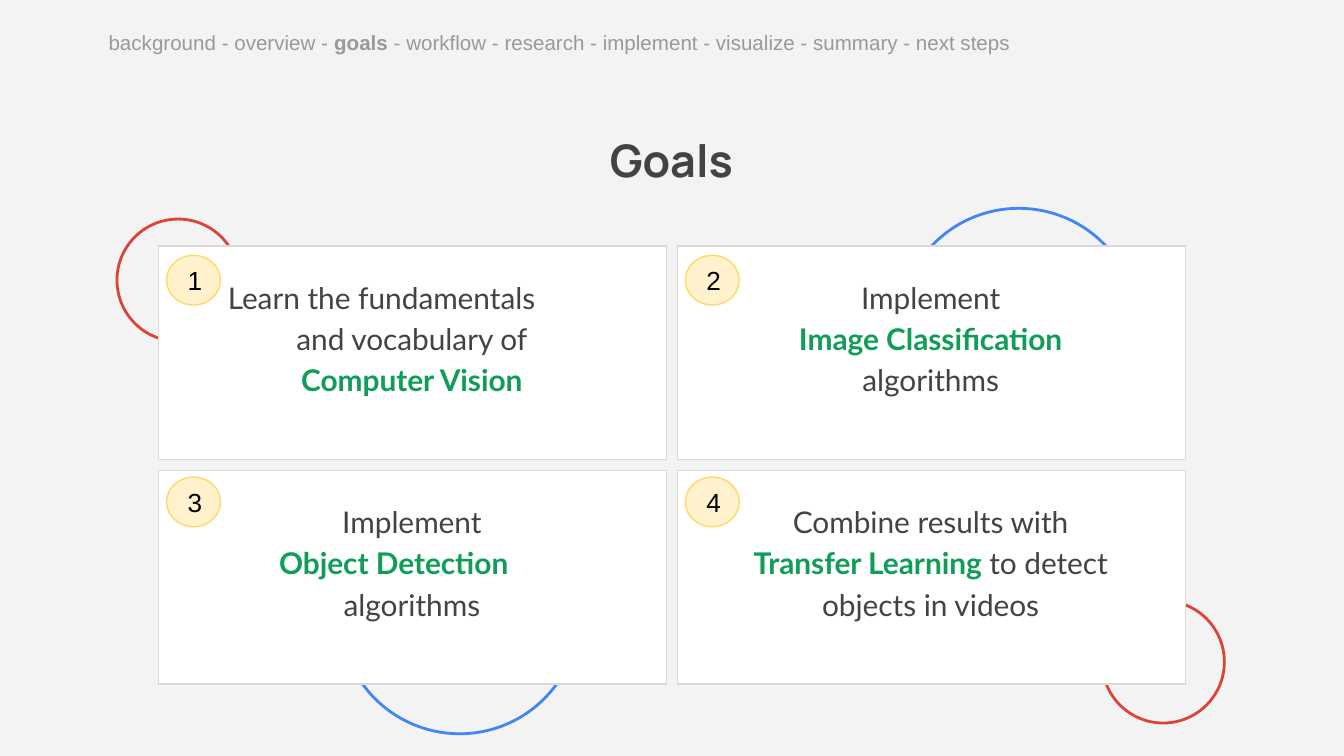
from pptx import Presentation
from pptx.dml.color import RGBColor
from pptx.enum.shapes import MSO_SHAPE
from pptx.enum.text import MSO_ANCHOR, PP_ALIGN
from pptx.util import Inches, Pt

OVAL, RECTANGLE = MSO_SHAPE.OVAL, MSO_SHAPE.RECTANGLE
BADGE = MSO_SHAPE.FLOWCHART_CONNECTOR
LEFT, CENTER = PP_ALIGN.LEFT, PP_ALIGN.CENTER
TOP, MIDDLE, BOTTOM = MSO_ANCHOR.TOP, MSO_ANCHOR.MIDDLE, MSO_ANCHOR.BOTTOM

GREEN, GREY, BLUE, RED = "0F9D58", "434343", "4285F4", "DB4437"
SLIDE_WIDTH = 10
SLIDE_HEIGHT = SLIDE_WIDTH * 9 / 16
CARD_WIDTH, CARD_HEIGHT, GAP = 3.78, 1.59, 0.08
GRID_LEFT, GRID_TOP, COLUMNS = 1.18, 1.83, 2
BADGE_DROPS = (0.07, 0.05)

TITLE = "Goals"
STEPS = ["background", "overview", "goals", "workflow", "research",
         "implement", "visualize", "summary", "next steps"]
CURRENT_STEP = "goals"

GOALS = [
    [("", "Learn the fundamentals", 0.45), ("", "and vocabulary of", 0),
     ("Computer Vision", "", 0)],
    [("", "Implement", 0), ("Image Classification ", "algorithms", 0)],
    [("", "Implement", 0), ("Object Detection", "", 0.27), ("", "algorithms", 0)],
    [("", "Combine results with", 0),
     ("Transfer Learning ", "to detect objects in videos", 0)],
]

CIRCLES = [(2.53, 3.68, 1.78, BLUE), (6.69, 1.55, 1.78, BLUE),
           (8.2, 4.47, 0.91, RED), (0.87, 1.63, 0.91, RED)]


def color(value):
    return RGBColor.from_string(value)


def place(shape, left, top, width, height):
    shape.left, shape.top = Inches(left), Inches(top)
    shape.width, shape.height = Inches(width), Inches(height)


def add_outline(page, kind, area, line, weight, fill=None):
    shape = page.shapes.add_shape(kind, *map(Inches, area))
    shape.shadow.inherit = False
    if fill:
        shape.fill.solid()
        shape.fill.fore_color.rgb = color(fill)
    else:
        shape.fill.background()
    shape.line.color.rgb = color(line)
    shape.line.width = Pt(weight)
    return shape


def write(box, lines, size, font, align=CENTER, anchor=TOP, spacing=None, before=None):
    frame = box.text_frame
    frame.word_wrap = True
    frame.vertical_anchor = anchor
    frame.margin_left = frame.margin_right = Inches(0.1)
    frame.margin_top = frame.margin_bottom = Inches(0.1)
    for index, (spans, indent) in enumerate(lines):
        para = frame.add_paragraph() if index else frame.paragraphs[0]
        para.alignment = align
        if spacing:
            para.line_spacing = spacing
        if before is not None:
            para.space_before = Pt(0 if index else before)
        para._p.get_or_add_pPr().set("marR", str(Inches(indent)))
        for text, tint, bold in spans:
            span = para.add_run()
            span.text = text
            span.font.size = Pt(size)
            span.font.name = font
            span.font.bold = bold
            span.font.color.rgb = color(tint)


def goal_lines(goal):
    for key, plain, indent in goal:
        spans = [(key, GREEN, True), (plain, GREY, False)]
        yield [span for span in spans if span[0]], indent


def step_spans():
    for index, step in enumerate(STEPS):
        if index:
            yield " - ", "999999", False
        yield step, "999999", step == CURRENT_STEP


def main():
    deck = Presentation()
    deck.slide_width, deck.slide_height = Inches(SLIDE_WIDTH), Inches(SLIDE_HEIGHT)
    page = deck.slides.add_slide(deck.slide_layouts[5])
    page.background.fill.solid()
    page.background.fill.fore_color.rgb = color("F3F3F3")

    title = page.shapes.title
    place(title, 1.47, 0.49, 7.05, 1)
    write(title, [([(TITLE, GREY, True)], 0)], 24, "Manrope", anchor=BOTTOM)

    for left, top, diameter, tint in CIRCLES:
        add_outline(page, OVAL, (left, top, diameter, diameter), tint, 1.5)

    for index, goal in enumerate(GOALS):
        row, column = divmod(index, COLUMNS)
        left = GRID_LEFT + column * (CARD_WIDTH + GAP)
        top = GRID_TOP + row * (CARD_HEIGHT + GAP)
        add_outline(page, RECTANGLE, (left, top, CARD_WIDTH, CARD_HEIGHT),
                    "D9D9D9", 0.75, "FFFFFF")
        box = page.shapes.add_textbox(*map(Inches, (left + 0.29, top + 0.11, 3.19, 1.38)))
        write(box, goal_lines(goal), 16, "Lato", spacing=1.15, before=10)
        badge = add_outline(page, BADGE, (left + 0.06, top + BADGE_DROPS[row], 0.4, 0.37),
                            "FFD966", 0.75, "FFF2CC")
        write(badge, [([(str(index + 1), "000000", False)], 0)], 14, "Arial", anchor=MIDDLE)

    steps = page.shapes.add_textbox(*map(Inches, (0.71, 0.13, 6.94, 0.27)))
    write(steps, [(step_spans(), 0)], 11, "Arial", align=LEFT)
    deck.save("out.pptx")


if __name__ == "__main__":
    main()
